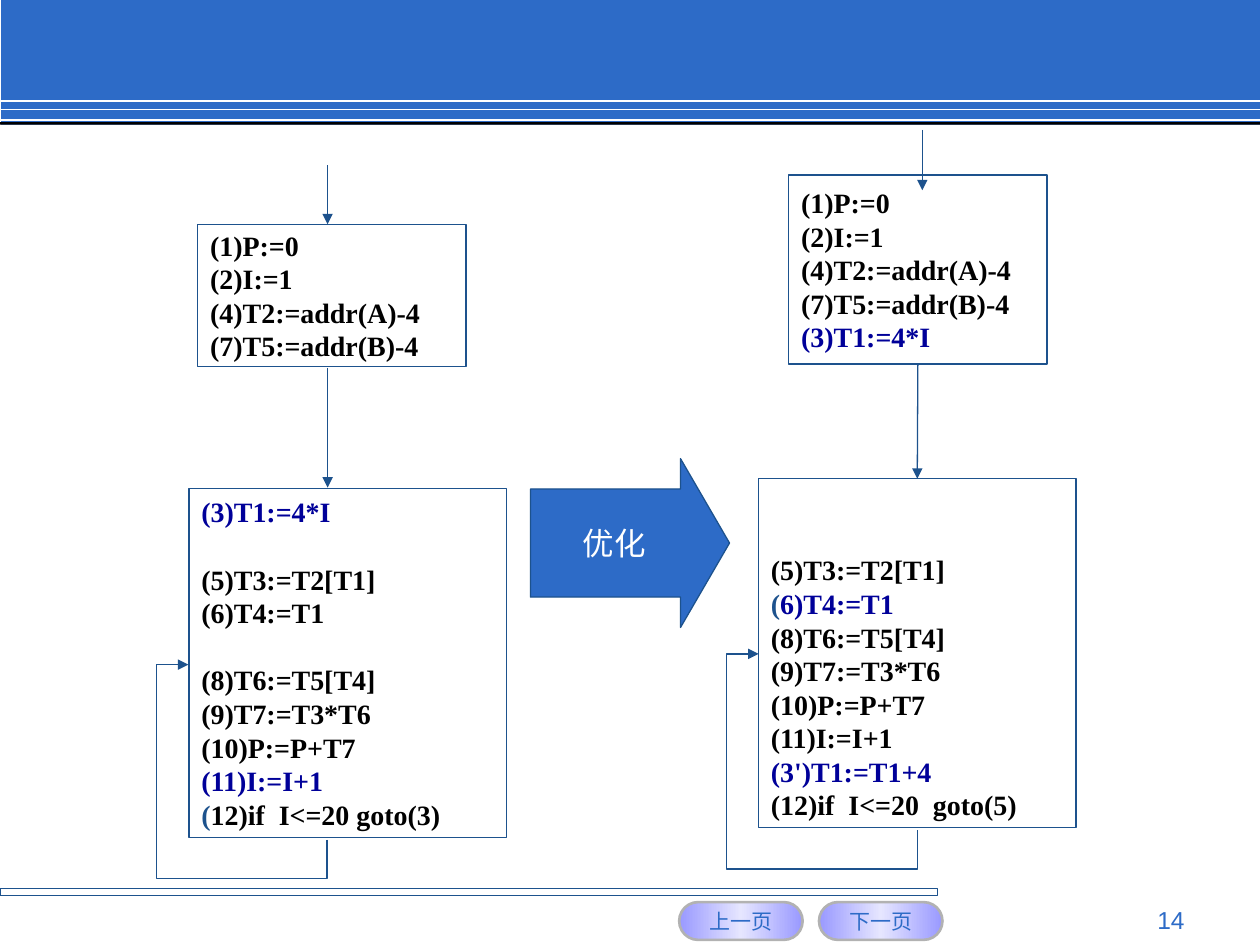
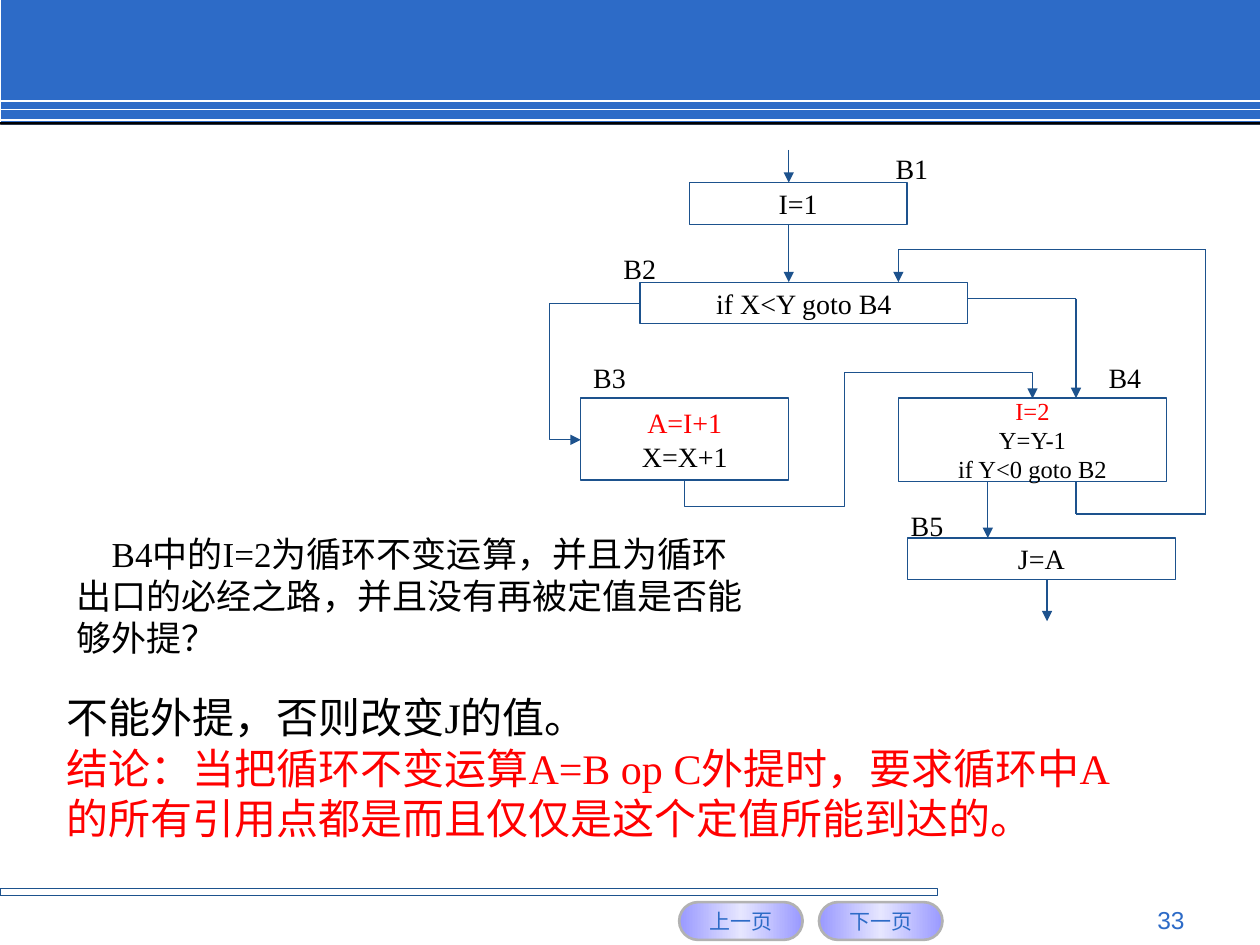
from copy import deepcopy
from dataclasses import dataclass

from lxml import etree
from pptx import Presentation
from pptx.dml.color import RGBColor
from pptx.enum.shapes import MSO_CONNECTOR, MSO_SHAPE
from pptx.enum.text import MSO_ANCHOR, PP_ALIGN
from pptx.oxml.ns import qn
from pptx.util import Inches, Pt

RECTANGLE = MSO_SHAPE.RECTANGLE
PILL = MSO_SHAPE.ROUNDED_RECTANGLE
RIGHT_ARROW = MSO_SHAPE.RIGHT_ARROW
STRAIGHT, ELBOW = MSO_CONNECTOR.STRAIGHT, MSO_CONNECTOR.ELBOW
LEFT, CENTER, RIGHT = PP_ALIGN.LEFT, PP_ALIGN.CENTER, PP_ALIGN.RIGHT
TOP, MIDDLE, BOTTOM = MSO_ANCHOR.TOP, MSO_ANCHOR.MIDDLE, MSO_ANCHOR.BOTTOM

SLIDE_WIDTH, SLIDE_HEIGHT = Inches(10), Inches(7.5)
COLUMNS, ROWS = 100, 75
BOTTOM_SIDE, TOP_SIDE = 2, 0
BLANK_LAYOUT = 6


@dataclass(frozen=True)
class Theme:
    blue: str = "2D6BC7"
    outline: str = "1D528D"
    black: str = "000000"
    white: str = "FFFFFF"
    moved: str = "000099"
    red: str = "FF0000"
    button_edge: str = "B2B2B2"
    button_stops: tuple = ((0, "9999FF"), (0.5, "E6E6FF"), (1, "9999FF"))
    serif: str = "Times New Roman"
    sans: str = "Arial"
    button_size: int = 12
    small_size: int = 14
    code_size: int = 16
    arrow_size: int = 18
    question_size: int = 20
    answer_size: int = 24
    leading: float = 1.2
    thin: float = 0.75
    rule: float = 1
    thick: float = 1.5


@dataclass(frozen=True)
class Line:
    runs: tuple
    lines_before: int = 0
    indent: float = 0


THEME = Theme()


def line(text, color=THEME.black, **layout):
    return Line(((text, color),), **layout)


def split_line(bracket_color, text, color):
    return Line((("(", bracket_color), (text, color)))


class Deck:
    def __init__(self, theme):
        self.theme = theme
        self.presentation = Presentation()
        self.presentation.slide_width = SLIDE_WIDTH
        self.presentation.slide_height = SLIDE_HEIGHT
        self.slide = None

    def x(self, column):
        return round(SLIDE_WIDTH * column / COLUMNS)

    def y(self, row):
        return round(SLIDE_HEIGHT * row / ROWS)

    def frame(self, area):
        left, top, width, height = area
        return self.x(left), self.y(top), self.x(width), self.y(height)

    def new_slide(self, number):
        theme = self.theme
        layout = self.presentation.slide_layouts[BLANK_LAYOUT]
        self.slide = self.presentation.slides.add_slide(layout)
        self.box((0.1, 0, 99.9, 9.9), fill=theme.blue, edge=None)
        for row in (8, 8.7, 9.5):
            self.route((0, row), (100, row), color=theme.white,
                       width=theme.rule, arrow=False)
        self.box((0, 9.7, 100, 0.2), fill=theme.black, edge=None)
        self.box((0, 70.5, 74.4, 0.6))
        for index, label in enumerate(("上一页", "下一页")):
            self.button((53.9 + 11.1 * index, 71.6, 9.8, 3), label)
        self.text((71.7, 71.3, 23.3, 2.7), [line(str(number), theme.blue)],
                  theme.small_size, font=theme.sans, align=RIGHT)

    def set_lines(self, shape, lines, size, font=None, align=LEFT,
                  anchor=TOP, bold=False, wrap=True):
        text_frame = shape.text_frame
        text_frame.word_wrap = wrap
        text_frame.vertical_anchor = anchor
        leading = size * self.theme.leading
        for index, content in enumerate(lines):
            paragraph = (text_frame.add_paragraph() if index
                         else text_frame.paragraphs[0])
            paragraph.alignment = align
            paragraph.line_spacing = Pt(leading)
            if content.lines_before:
                paragraph.space_before = Pt(leading * content.lines_before)
            if content.indent:
                properties = paragraph._p.get_or_add_pPr()
                properties.set("indent", str(Pt(content.indent)))
            for text, color in content.runs:
                run = paragraph.add_run()
                run.text = text
                run.font.name = font or self.theme.serif
                run.font.size = Pt(size)
                run.font.bold = bold
                run.font.color.rgb = RGBColor.from_string(color)

    def box(self, area, kind=RECTANGLE, fill=None, edge=THEME.outline,
            width=THEME.thin):
        shape = self.slide.shapes.add_shape(kind, *self.frame(area))
        shape.shadow.inherit = False
        if fill:
            shape.fill.solid()
            shape.fill.fore_color.rgb = RGBColor.from_string(fill)
        else:
            shape.fill.background()
        if edge:
            shape.line.color.rgb = RGBColor.from_string(edge)
            shape.line.width = Pt(width)
        else:
            shape.line.fill.background()
        return shape

    def button(self, area, label):
        theme = self.theme
        shape = self.box(area, PILL, edge=theme.button_edge, width=theme.thick)
        shape.adjustments[0] = 0.5
        shape.fill.gradient()
        shape.fill.gradient_angle = 0
        stop_list = shape._element.spPr.find(".//" + qn("a:gsLst"))
        stop_list.append(deepcopy(stop_list[1]))
        for stop, (position, color) in zip(shape.fill.gradient_stops,
                                           theme.button_stops):
            stop.position = position
            stop.color.rgb = RGBColor.from_string(color)
        self.set_lines(shape, [line(label, theme.blue)], theme.button_size,
                       font=theme.sans, align=CENTER, anchor=MIDDLE)

    def code(self, area, lines, anchor=TOP):
        shape = self.box(area)
        self.set_lines(shape, lines, self.theme.code_size, anchor=anchor,
                       bold=True)
        return shape

    def block(self, area, lines, size=THEME.code_size):
        self.set_lines(self.box(area), lines, size, align=CENTER, anchor=MIDDLE)

    def block_arrow(self, area, label):
        theme = self.theme
        shape = self.box(area, RIGHT_ARROW, fill=theme.blue)
        shape.adjustments[0] = 0.64
        shape.adjustments[1] = 0.29
        self.set_lines(shape, [line(label, theme.white)], theme.arrow_size,
                       align=CENTER, anchor=MIDDLE)

    def text(self, area, lines, size, **style):
        shape = self.slide.shapes.add_textbox(*self.frame(area))
        self.set_lines(shape, lines, size, **style)

    def label(self, left, top, name):
        self.text((left, top, 4.6, 3.7), [line(name)],
                  self.theme.code_size, wrap=False)

    def connector(self, kind, start, end, color, width, arrow):
        connector = self.slide.shapes.add_connector(
            kind, self.x(start[0]), self.y(start[1]),
            self.x(end[0]), self.y(end[1]))
        connector.line.color.rgb = RGBColor.from_string(color)
        connector.line.width = Pt(width)
        if arrow:
            outline = connector.line._get_or_add_ln()
            etree.SubElement(outline, qn("a:tailEnd")).set("type", "triangle")
        etree.SubElement(connector._element.spPr, qn("a:effectLst"))
        return connector

    def route(self, *points, color=THEME.outline, width=THEME.thin, arrow=True):
        last = len(points) - 2
        for index, (start, end) in enumerate(zip(points, points[1:])):
            self.connector(STRAIGHT, start, end, color, width,
                           arrow and index == last)

    def join(self, upper, lower):
        connector = self.connector(STRAIGHT, (0, 0), (1, 1),
                                   self.theme.outline, self.theme.thin, True)
        connector.begin_connect(upper, BOTTOM_SIDE)
        connector.end_connect(lower, TOP_SIDE)

    def elbow(self, area, rotation, flips, bends):
        left, top, width, height = area
        connector = self.connector(
            ELBOW, (left, top), (left + width, top + height),
            self.theme.outline, self.theme.thin, True)
        properties = connector._element.spPr
        transform = properties.find(qn("a:xfrm"))
        transform.set("rot", str(rotation * 60000))
        for flip in flips:
            transform.set(flip, "1")
        geometry = properties.find(qn("a:prstGeom"))
        geometry.set("prst", f"bentConnector{len(bends) + 2}")
        guides = geometry.find(qn("a:avLst"))
        if guides is None:
            guides = etree.SubElement(geometry, qn("a:avLst"))
        for index, bend in enumerate(bends, 1):
            guide = etree.SubElement(guides, qn("a:gd"))
            guide.set("name", f"adj{index}")
            guide.set("fmla", f"val {round(bend * 100000)}")


def build_strength_reduction(deck):
    theme = deck.theme
    deck.new_slide(14)
    setup = [line(text) for text in
             ("(1)P:=0", "(2)I:=1", "(4)T2:=addr(A)-4", "(7)T5:=addr(B)-4")]
    first_product = line("(3)T1:=4*I", theme.moved)
    product_and_sum = [line("(9)T7:=T3*T6"), line("(10)P:=P+T7")]

    deck.code((15.7, 17.8, 21.3, 11.3), setup, MIDDLE)
    deck.code((15, 38.8, 25.2, 27.7), [
        first_product,
        line("(5)T3:=T2[T1]", lines_before=1),
        line("(6)T4:=T1"),
        line("(8)T6:=T5[T4]", lines_before=1),
        *product_and_sum,
        line("(11)I:=I+1", theme.moved),
        split_line(theme.outline, "12)if  I<=20 goto(3)", theme.black),
    ])
    deck.route((26, 13.1), (26, 17.8))
    deck.route((26, 29.2), (26, 38.7))

    optimized_setup = deck.code((62.6, 13.9, 20.5, 15),
                                [*setup, first_product], MIDDLE)
    optimized_loop = deck.code((60.2, 38, 25.2, 27.7), [
        line("(5)T3:=T2[T1]"),
        split_line(theme.outline, "6)T4:=T1", theme.moved),
        line("(8)T6:=T5[T4]"),
        *product_and_sum,
        line("(11)I:=I+1"),
        line("(3')T1:=T1+4", theme.moved),
        line("(12)if  I<=20  goto(5)"),
    ], BOTTOM)
    deck.route((73.2, 10.3), (73.2, 15.1))
    deck.join(optimized_setup, optimized_loop)
    deck.block_arrow((42.1, 36.4, 15.8, 13.4), "优化")
    deck.elbow((59.5, 52.6, 14, 12.6), 270, ["flipV"], (-0.22, 1.2))
    deck.elbow((13.5, 54.2, 13.9, 11), 270, ["flipV"], (-0.22, 1.23))


def build_invariant_question(deck):
    theme = deck.theme
    deck.new_slide(33)
    deck.block((54.7, 14.5, 17.3, 3.3), [line("I=1")])
    deck.block((50.8, 22.4, 26, 3.3), [line("if X<Y goto B4")])
    deck.block((46.1, 31.6, 16.5, 6.5),
               [line("A=I+1", theme.red), line("X=X+1")])
    deck.block((71.3, 31.6, 21.3, 6.6),
               [line("I=2", theme.red), line("Y=Y-1"), line("if Y<0 goto B2")],
               theme.small_size)
    deck.block((72, 42.7, 21.3, 3.3), [line("J=A")])

    deck.route((62.6, 11.9), (62.6, 14.5))
    deck.route((62.6, 17.8), (62.6, 22.4))
    deck.elbow((46.1, 24.1, 4.7, 10.8), 180, ["flipV"], (1.53,))
    deck.elbow((64.9, 21.1, 6.5, 27.6), 90, ["flipH", "flipV"],
               (-0.32, 0.46, 1.32))
    deck.route((78.4, 38.2), (78.4, 42.7))
    deck.route((83.1, 46), (83.1, 49.3))
    deck.route((85.4, 38.2), (85.4, 40.8), (95.7, 40.8), (95.7, 19.8),
               (71.3, 19.8), (71.3, 22.4))
    deck.route((76.8, 23.7), (85.4, 23.7), (85.4, 31.6))

    for left, top, name in ((70.1, 11.5, "B1"), (48.5, 19.5, "B2"),
                            (46.1, 28.1, "B3"), (87, 28.1, "B4"),
                            (71.3, 39.9, "B5")):
        deck.label(left, top, name)

    deck.text((5.1, 41.8, 56.1, 11), [line(
        "B4中的I=2为循环不变运算，并且为循环出口的必经之路，"
        "并且没有再被定值是否能够外提？", indent=theme.question_size)],
        theme.question_size)
    deck.text((4.3, 54.4, 86.4, 13), [
        line("不能外提，否则改变J的值。"),
        line("结论：当把循环不变运算A=B op C外提时，要求循环中"
             "A的所有引用点都是而且仅仅是这个定值所能到达的。", theme.red),
    ], theme.answer_size)


def main():
    deck = Deck(THEME)
    build_strength_reduction(deck)
    build_invariant_question(deck)
    deck.presentation.save("out.pptx")


if __name__ == "__main__":
    main()
